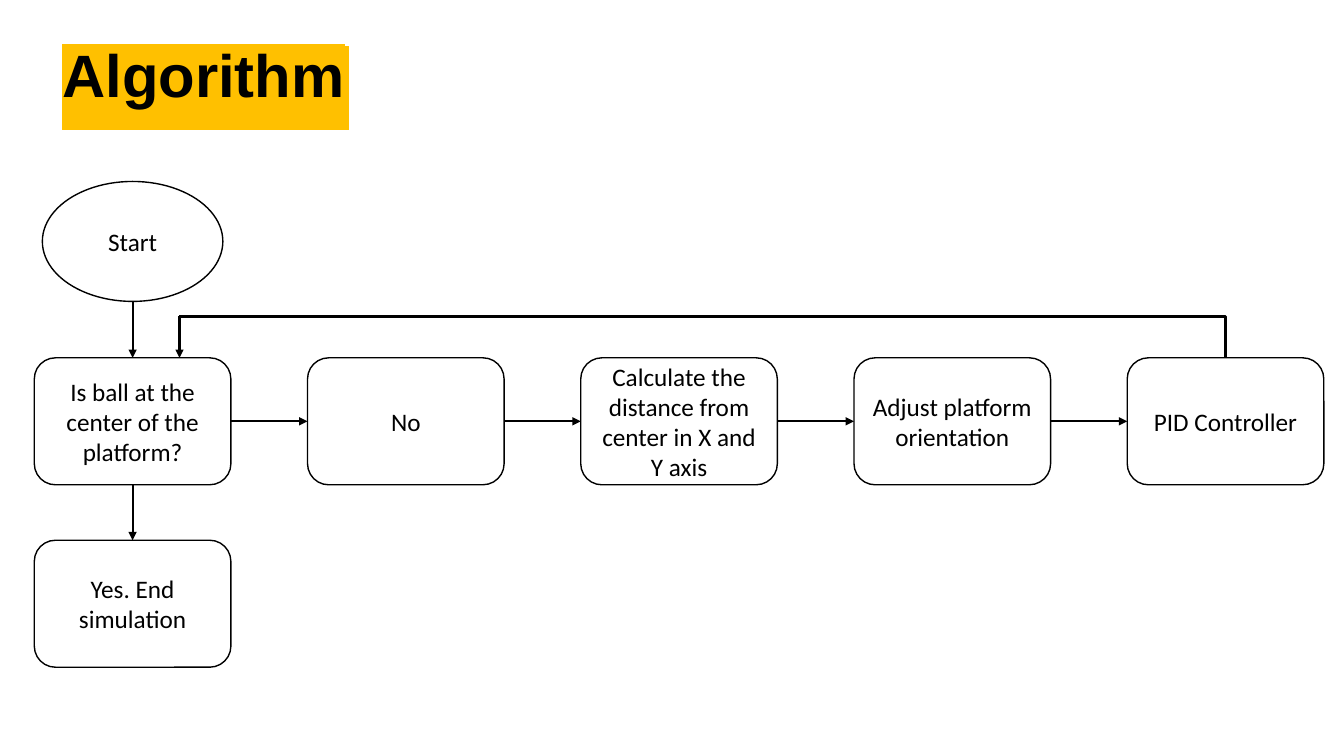
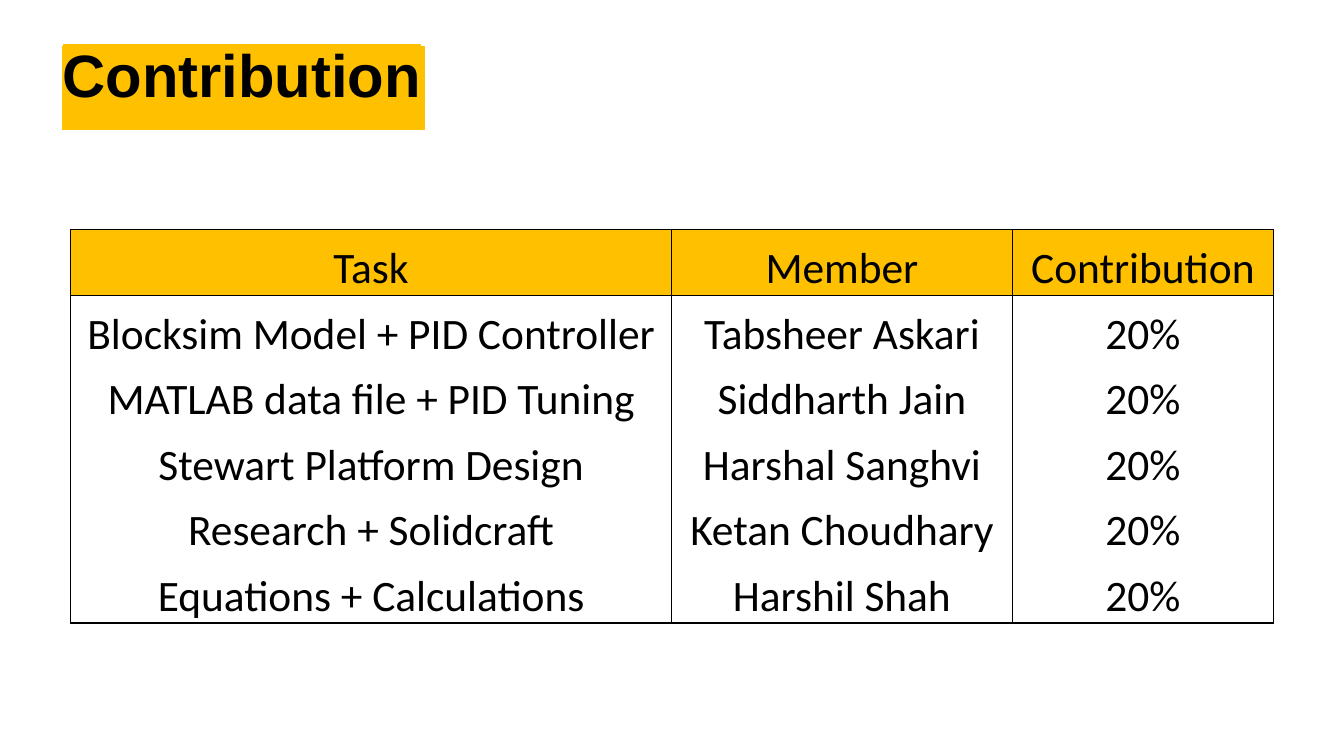
import pptx
import pptx.dml.color
import pptx.enum.shapes
import pptx.enum.text
import pptx.oxml.ns
import pptx.util
from lxml import etree

PX = 9144  # EMU in one px, 100 px to the inch
COLORS = {"ink": "000000", "accent": "FFC000"}
TITLE_FONT, BODY_FONT = "Arial", "Calibri"

SHAPES = pptx.enum.shapes.MSO_SHAPE
CONNECTORS = pptx.enum.shapes.MSO_CONNECTOR
ANCHORS = pptx.enum.text.MSO_ANCHOR
CENTER = pptx.enum.text.PP_ALIGN.CENTER
TOP, LEFT, BOTTOM, RIGHT = range(4)

# Flowchart grid
BOX_LEFT, BOX_TOP, BOX_W, BOX_H = 34, 355, 195, 126
STEP_X, STEP_Y = 271, 181
STEPS = [
    "Is ball at the center of the platform?",
    "No",
    "Calculate the distance from center in X and Y axis",
    "Adjust platform orientation",
    "PID Controller",
]

# Contribution table
HEADER = ("Task", "Member", "Contribution")
TASKS = [
    ("Blocksim Model + PID Controller", "Tabsheer Askari"),
    ("MATLAB data file + PID Tuning", "Siddharth Jain"),
    ("Stewart Platform Design", "Harshal Sanghvi"),
    ("Research + Solidcraft", "Ketan Choudhary"),
    ("Equations + Calculations", "Harshil Shah"),
]
SHARE = "20%"
COLUMN_WIDTHS = (596, 338, 259)
ROW_HEIGHT = 65


def px(*lengths):
    return [pptx.util.Emu(round(length * PX)) for length in lengths]


def rgb(name):
    return pptx.dml.color.RGBColor.from_string(COLORS[name])


def add_xml(parent, tag, **attributes):
    return etree.SubElement(parent, pptx.oxml.ns.qn(tag), attributes)


def style_run(run, size, font=BODY_FONT, bold=False):
    run.font.size = pptx.util.Pt(size)
    run.font.bold = bold
    run.font.color.rgb = rgb("ink")
    run.font.name = font


def set_text(frame, text, size, **style):
    frame.text = text
    paragraph = frame.paragraphs[0]
    style_run(paragraph.runs[0], size, **style)
    return paragraph


def add_title(slide, text, width):
    band = slide.shapes.add_shape(SHAPES.RECTANGLE, *px(62, 46, width, 83))
    band.shadow.inherit = False
    band.fill.solid()
    band.fill.fore_color.rgb = rgb("accent")
    band.line.color.rgb = rgb("accent")
    band.line.width = pptx.util.Pt(0.75)
    frame = band.text_frame
    frame.margin_left = frame.margin_top = frame.margin_right = frame.margin_bottom = 0
    frame.vertical_anchor = ANCHORS.TOP
    frame.word_wrap = True
    paragraph = set_text(frame, text, 42.7, font=TITLE_FONT, bold=True)
    paragraph.alignment = pptx.enum.text.PP_ALIGN.LEFT
    paragraph.line_spacing = 0.9
    paragraph.space_after = pptx.util.Pt(10.7)
    # Highlight belongs between the text colour and the typeface
    properties = paragraph.runs[0].font._element
    highlight = add_xml(properties, "a:highlight")
    add_xml(highlight, "a:srgbClr", val=COLORS["accent"])
    properties.find(pptx.oxml.ns.qn("a:latin")).addprevious(highlight)


def add_node(slide, text, left, top, width=BOX_W, height=BOX_H,
             kind=SHAPES.ROUNDED_RECTANGLE):
    node = slide.shapes.add_shape(kind, *px(left, top, width, height))
    node.shadow.inherit = False
    node.fill.background()
    node.line.color.rgb = rgb("ink")
    node.line.width = pptx.util.Pt(1)
    node.text_frame.word_wrap = True
    node.text_frame.vertical_anchor = ANCHORS.MIDDLE
    set_text(node.text_frame, text, 18).alignment = CENTER
    return node


def add_line(slide, start=(0, 0), end=(0, 0), kind=CONNECTORS.STRAIGHT, arrow=True):
    line = slide.shapes.add_connector(kind, *px(*start, *end))
    line.line.color.rgb = rgb("ink")
    line.line.width = pptx.util.Pt(1.5)
    if arrow:
        add_xml(line.line._get_or_add_ln(), "a:tailEnd", type="triangle")
    add_xml(line._element.spPr, "a:effectLst")
    return line


def join(slide, source, source_side, target, target_side):
    line = add_line(slide)
    line.begin_connect(source, source_side)
    line.end_connect(target, target_side)


def build_algorithm(slide):
    add_title(slide, "Algorithm", 284)

    # Row of steps
    steps = [add_node(slide, text, BOX_LEFT + column * STEP_X, BOX_TOP)
             for column, text in enumerate(STEPS)]
    for source, target in zip(steps, steps[1:]):
        join(slide, source, RIGHT, target, LEFT)

    # Start above and end below the question
    question_middle = BOX_LEFT + BOX_W / 2
    add_node(slide, "Start", 42, 180, 179, 119, SHAPES.OVAL)
    add_line(slide, (question_middle, 299),
             (question_middle, BOX_TOP)).end_connect(steps[0], TOP)
    finish = add_node(slide, "Yes. End simulation", BOX_LEFT, BOX_TOP + STEP_Y)
    join(slide, steps[0], BOTTOM, finish, TOP)

    # Loop from the controller back to the question
    loop_corner = (178, 314)
    controller_top = (question_middle + (len(STEPS) - 1) * STEP_X, BOX_TOP)
    loop = add_line(slide, loop_corner, controller_top, CONNECTORS.ELBOW, arrow=False)
    loop._element.spPr.prstGeom.set("prst", "bentConnector2")
    add_line(slide, loop_corner, (loop_corner[0], BOX_TOP))


def set_borders(cell, **widths):
    properties = cell._tc.get_or_add_tcPr()
    for side in "LRTB":
        width = widths[side]
        border = add_xml(properties, f"a:ln{side}", w=str(pptx.util.Pt(width)))
        if width:
            fill = add_xml(border, "a:solidFill")
            add_xml(fill, "a:srgbClr", val=COLORS["ink"])
        else:
            add_xml(border, "a:noFill")


def fill_cell(cell, text, is_header):
    if is_header:
        cell.fill.solid()
        cell.fill.fore_color.rgb = rgb("accent")
    else:
        cell.fill.background()
    cell.margin_left, cell.margin_top, cell.margin_right = px(2, 2, 2)
    cell.margin_bottom = 0
    cell.vertical_anchor = ANCHORS.BOTTOM
    set_text(cell.text_frame, text, 31).alignment = CENTER


def build_contribution(slide):
    add_title(slide, "Contribution", 359)

    rows = [HEADER] + [(task, member, SHARE) for task, member in TASKS]
    last_row, last_column = len(rows) - 1, len(HEADER) - 1
    table = slide.shapes.add_table(
        len(rows), len(HEADER),
        *px(70, 228, sum(COLUMN_WIDTHS), ROW_HEIGHT * len(rows))).table
    table.first_row = table.horz_banding = False
    for column, width in zip(table.columns, COLUMN_WIDTHS):
        column.width = px(width)[0]
    for r, values in enumerate(rows):
        table.rows[r].height = px(ROW_HEIGHT)[0]
        for c, text in enumerate(values):
            cell = table.cell(r, c)
            set_borders(cell,
                        L=1 if c == 0 else 0.5,
                        R=1 if c == last_column else 0.5,
                        T=1 if r <= 1 else 0,
                        B=1 if r in (0, last_row) else 0)
            fill_cell(cell, text, is_header=r == 0)


def main():
    deck = pptx.Presentation()
    deck.slide_width, deck.slide_height = px(1333, 750)
    blank = deck.slide_layouts[6]
    for build in (build_algorithm, build_contribution):
        build(deck.slides.add_slide(blank))
    deck.save("out.pptx")


if __name__ == "__main__":
    main()
